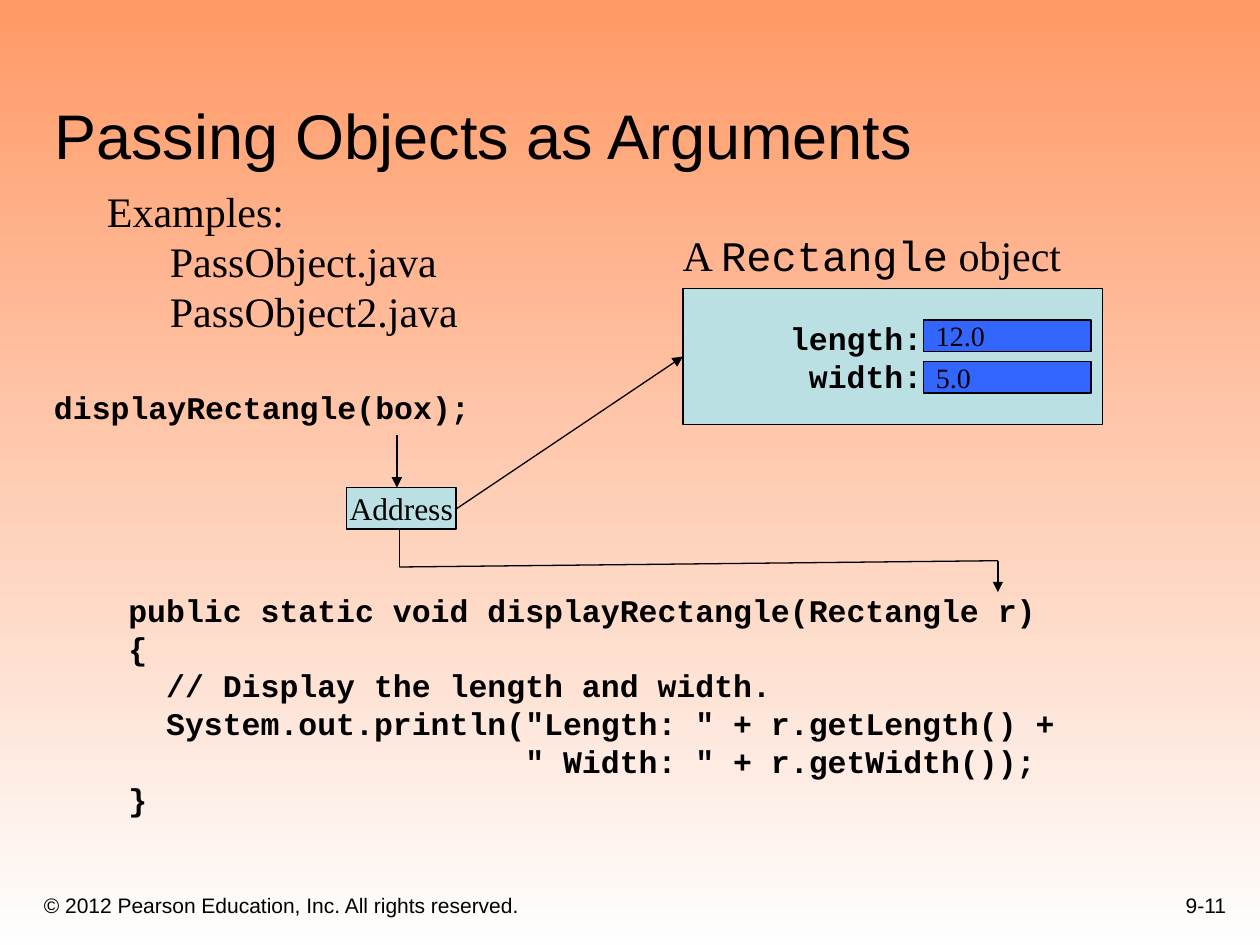
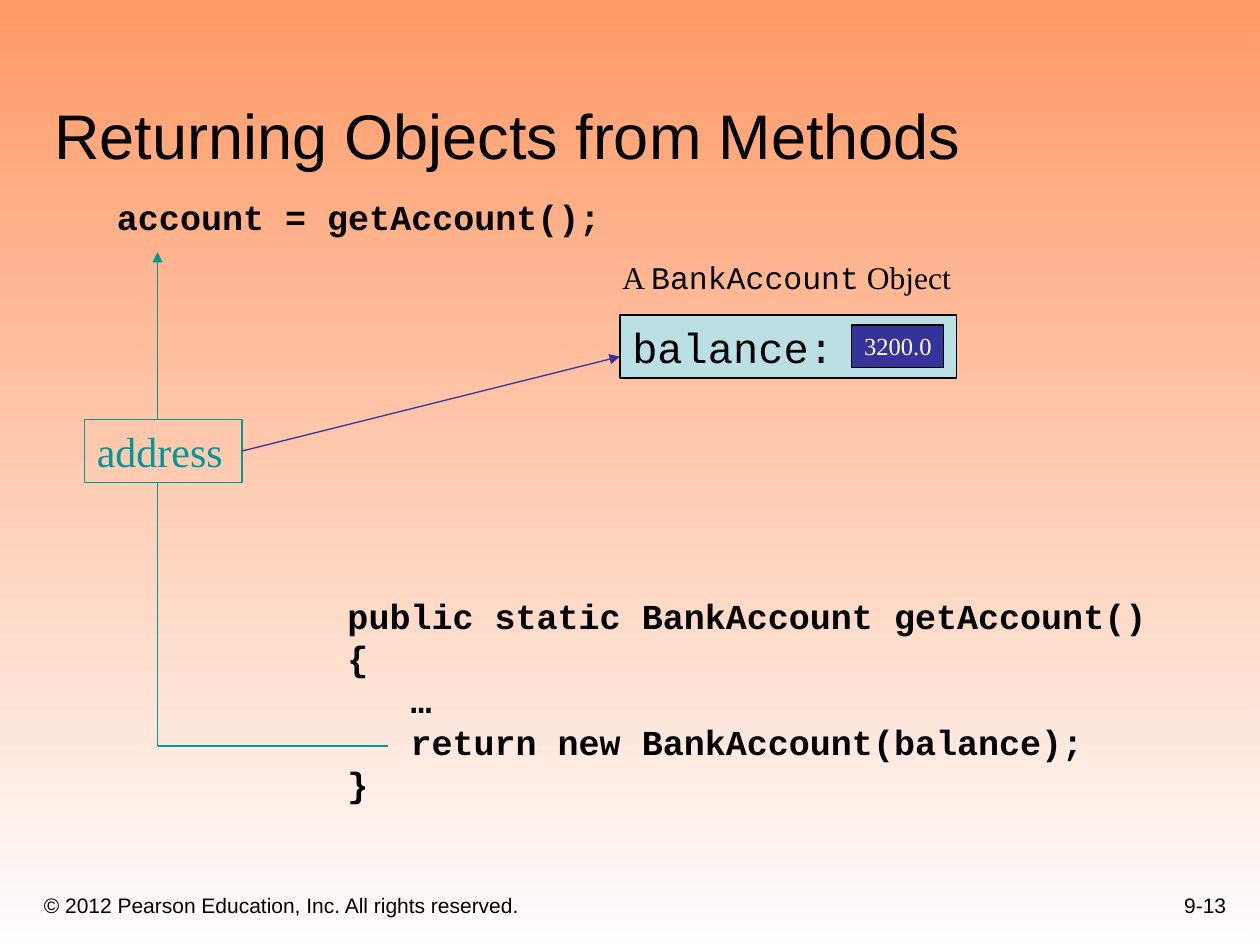
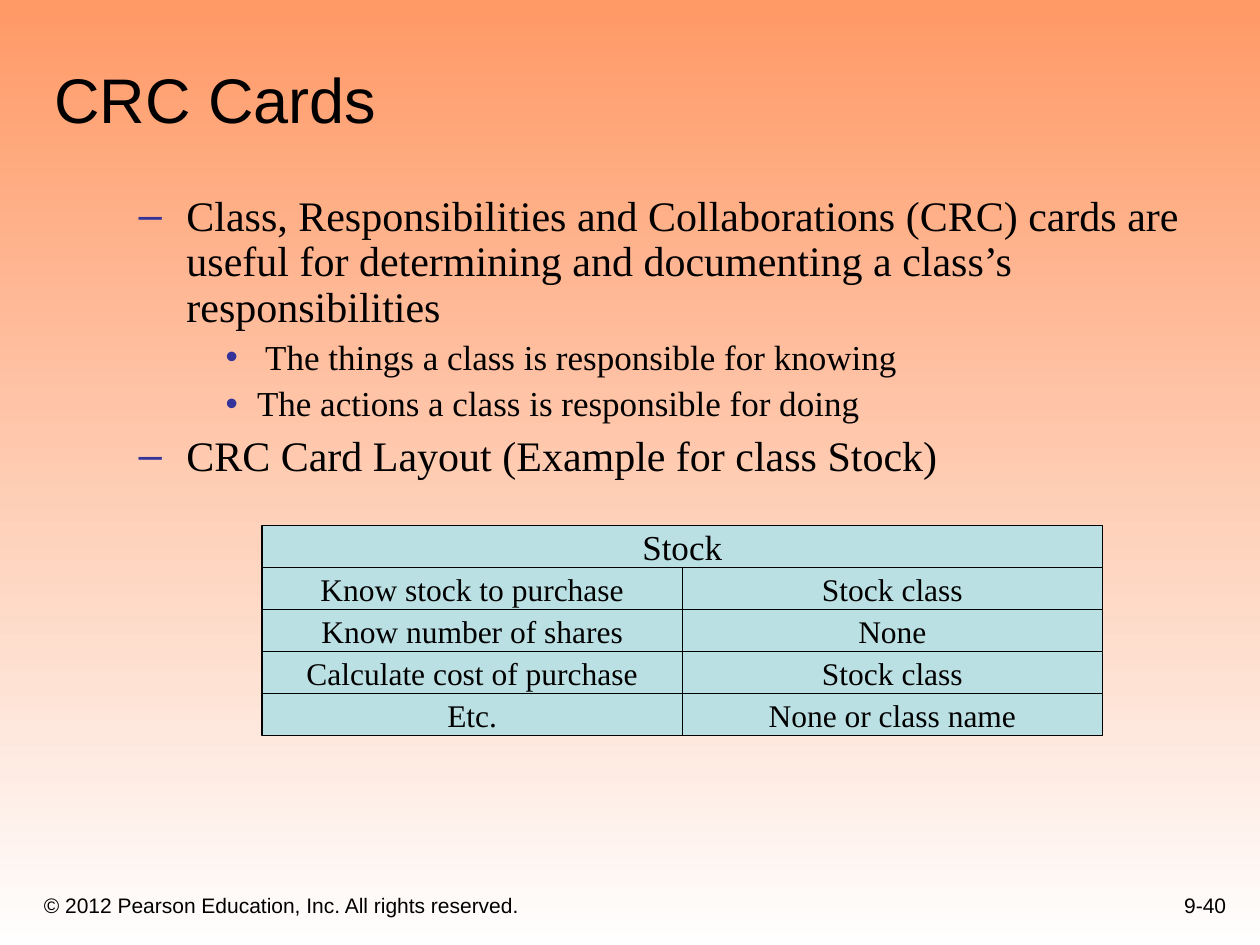
from dataclasses import dataclass
from typing import Optional

from lxml.etree import SubElement
from pptx import Presentation
from pptx.dml.color import RGBColor
from pptx.enum.shapes import MSO_CONNECTOR, MSO_SHAPE
from pptx.enum.text import MSO_ANCHOR, MSO_AUTO_SIZE, PP_ALIGN
from pptx.oxml.ns import qn
from pptx.presentation import Presentation as Deck
from pptx.shapes.base import BaseShape
from pptx.slide import Slide
from pptx.text.text import TextFrame, _Paragraph as Paragraph
from pptx.util import Inches, Pt

COLORS = {
    "black": "000000",
    "white": "FFFFFF",
    "orange": "FF9966",
    "paper": "FEFEFE",
    "pale": "BBE0E3",
    "blue": "3366FF",
    "navy": "333399",
    "teal": "009999",
}
SANS, SERIF, MONO = "Arial", "Times New Roman", "Courier New"
LINE_WIDTH = 0.75
COPYRIGHT = "© 2012 Pearson Education, Inc. All rights reserved."


@dataclass(frozen=True)
class Block:
    """A text box, or an outlined shape when it has a line colour; lengths in inches."""
    left: float
    top: float
    width: float
    height: float
    text: str
    size: int
    font: str = SERIF
    color: str = "black"
    bold: bool = False
    align: PP_ALIGN = PP_ALIGN.LEFT
    anchor: MSO_ANCHOR = MSO_ANCHOR.TOP
    wrap: bool = True
    fill: Optional[str] = None
    line: Optional[str] = None
    shape: MSO_SHAPE = MSO_SHAPE.RECTANGLE
    code_word: str = ""
    hanging: float = 0
    right_inset: float = 0.1


@dataclass(frozen=True)
class Link:
    """A straight line between two points, with or without an arrowhead."""
    start: tuple[float, float]
    end: tuple[float, float]
    color: str = "black"
    arrow: bool = True


@dataclass(frozen=True)
class Bullet:
    """The look of one list level."""
    symbol: str
    level: int
    margin: float
    hanging: float
    size: int
    space: int


DASH = Bullet("–", 1, 0.88, 0.38, 24, 6)
DOT = Bullet("•", 2, 1.44, 0.25, 20, 5)

PASSING_CODE = """public static void displayRectangle(Rectangle r)
{
  // Display the length and width.
  System.out.println("Length: " + r.getLength() +
                     " Width: " + r.getWidth());
}"""
RETURNING_CODE = """public static BankAccount getAccount()
{
   …
   return new BankAccount(balance);
}"""

PASSING_BLOCKS = [
    Block(0.75, 1.42, 2.98, 1.3, "Examples:\vPassObject.java\vPassObject2.java", 24,
          wrap=False, hanging=0.5),
    Block(0.33, 3.03, 3.58, 0.4, "displayRectangle(box);", 18, MONO, bold=True),
    Block(0.92, 4.64, 7.55, 1.9, PASSING_CODE, 18, MONO, bold=True, wrap=False),
    Block(5.32, 1.77, 3.22, 0.5, "A Rectangle object", 24, wrap=False, code_word="Rectangle"),
    Block(5.42, 2.29, 3.33, 1.08, "length:\nwidth:", 18, MONO, bold=True, align=PP_ALIGN.RIGHT,
          anchor=MSO_ANCHOR.MIDDLE, fill="pale", line="black", right_inset=1.43),
    *(Block(7.33, top, 1.33, 0.25, value, 16, anchor=MSO_ANCHOR.MIDDLE, fill="blue", line="black")
      for top, value in ((2.54, "12.0"), (2.87, "5.0"))),
    Block(2.75, 3.87, 0.87, 0.33, "Address", 18, align=PP_ALIGN.CENTER,
          anchor=MSO_ANCHOR.MIDDLE, wrap=False, fill="pale", line="black"),
]
PASSING_LINKS = [
    Link((3.15, 3.45), (3.15, 3.87)),
    Link((7.92, 4.45), (7.92, 4.7)),
    Link((3.17, 4.2), (3.17, 4.5), arrow=False),
    Link((3.17, 4.5), (7.92, 4.45), arrow=False),
    Link((3.62, 4.04), (5.42, 2.83)),
]

RETURNING_BLOCKS = [
    Block(0.83, 1.5, 4.25, 0.44, "account = getAccount();", 20, MONO, bold=True),
    Block(2.66, 4.67, 6.54, 1.77, RETURNING_CODE, 20, MONO, bold=True, wrap=False),
    Block(4.92, 2.5, 2.67, 0.5, "balance:", 24, MONO, fill="pale", line="black"),
    Block(6.76, 2.58, 0.73, 0.34, "3200.0", 14, color="white", wrap=False,
          fill="navy", line="black"),
    Block(0.67, 3.33, 1.25, 0.5, "address", 24, color="teal", line="teal"),
    Block(4.84, 2, 2.82, 0.4, "A BankAccount Object", 18, wrap=False, code_word="BankAccount"),
]
RETURNING_LINKS = [
    Link((1.25, 3.33), (1.25, 2), "teal"),
    Link((3.08, 5.92), (1.25, 5.92), "teal", arrow=False),
    Link((1.25, 5.92), (1.25, 3.83), "teal", arrow=False),
    Link((1.92, 3.58), (4.92, 2.83), "navy"),
]

CARD_POINTS = [
    (DASH, "Class, Responsibilities and Collaborations (CRC) cards are useful for "
           "determining and documenting a class’s responsibilities"),
    (DOT, " The things a class is responsible for knowing"),
    (DOT, "The actions a class is responsible for doing"),
    (DASH, "CRC Card Layout (Example for class Stock)"),
]
CARD_ROWS = [
    ("Stock",),
    ("Know stock to purchase", "Stock class"),
    ("Know number of shares", "None"),
    ("Calculate cost of purchase", "Stock class"),
    ("Etc.", "None or class name"),
]


def rgb(name: str) -> RGBColor:
    """Look up a named colour."""
    return RGBColor.from_string(COLORS[name])


def add_span(para: Paragraph, text: str, *, size: int, font: str = SERIF,
             color: str = "black", bold: bool = False) -> None:
    """Append formatted text to a paragraph, breaking lines at vertical tabs."""
    for index, part in enumerate(text.split("\v")):
        if index:
            para.add_line_break()
        span = para.add_run()
        span.text = part
        span.font.size = Pt(size)
        span.font.name = font
        span.font.bold = bold
        span.font.color.rgb = rgb(color)


def indent(para: Paragraph, margin: float, hanging: float) -> None:
    """Give a paragraph a left margin with a hanging first line."""
    properties = para._p.get_or_add_pPr()
    properties.set("marL", str(Inches(margin)))
    properties.set("indent", str(-Inches(hanging)))


def next_para(frame: TextFrame, index: int) -> Paragraph:
    """Return the first paragraph of a frame, or add another."""
    return frame.add_paragraph() if index else frame.paragraphs[0]


def fill_frame(frame: TextFrame, block: Block) -> None:
    """Write a block's text, one paragraph a line."""
    frame.auto_size = MSO_AUTO_SIZE.NONE
    frame.word_wrap = block.wrap
    frame.vertical_anchor = block.anchor
    frame.margin_right = Inches(block.right_inset)
    for index, line in enumerate(block.text.split("\n")):
        para = next_para(frame, index)
        para.alignment = block.align
        if block.hanging:
            indent(para, block.hanging, block.hanging)
        spans = [(line, block.font)]
        if block.code_word:
            before, word, after = line.partition(block.code_word)
            spans = [(before, block.font), (word, MONO), (after, block.font)]
        for text, font in spans:
            add_span(para, text, size=block.size, font=font, color=block.color, bold=block.bold)


def draw_block(page: Slide, block: Block) -> None:
    """Draw a block as a text box or as an outlined shape."""
    place = [Inches(n) for n in (block.left, block.top, block.width, block.height)]
    if block.line is None:
        box = page.shapes.add_textbox(*place)
    else:
        box = page.shapes.add_shape(block.shape, *place)
        box.shadow.inherit = False
        box.line.color.rgb = rgb(block.line)
        box.line.width = Pt(LINE_WIDTH)
        if block.fill:
            box.fill.solid()
            box.fill.fore_color.rgb = rgb(block.fill)
        else:
            box.fill.background()
    fill_frame(box.text_frame, block)


def draw_link(page: Slide, link: Link) -> None:
    """Draw a line or an arrow."""
    ends = [Inches(n) for n in (*link.start, *link.end)]
    connector = page.shapes.add_connector(MSO_CONNECTOR.STRAIGHT, *ends)
    connector.line.color.rgb = rgb(link.color)
    connector.line.width = Pt(LINE_WIDTH)
    if link.arrow:
        SubElement(connector.line._get_or_add_ln(), qn("a:tailEnd"), type="triangle")
    SubElement(connector._element.spPr, qn("a:effectLst"))


def move(shape: BaseShape, left: float, top: float, width: float, height: float) -> None:
    """Place a shape, in inches."""
    shape.left, shape.top = Inches(left), Inches(top)
    shape.width, shape.height = Inches(width), Inches(height)


def add_page(deck: Deck, layout: int, title: str, number: str, title_height: float = 1.09) -> Slide:
    """Add a slide with its title, copyright line and page number."""
    page = deck.slides.add_slide(deck.slide_layouts[layout])
    heading = Block(0.33, 0.33, 9.42, title_height, title, 36, SANS, anchor=MSO_ANCHOR.BOTTOM)
    move(page.shapes.title, heading.left, heading.top, heading.width, heading.height)
    fill_frame(page.shapes.title.text_frame, heading)
    draw_block(page, Block(0.25, 6.91, 6.08, 0.42, COPYRIGHT, 12, SANS, anchor=MSO_ANCHOR.BOTTOM))
    draw_block(page, Block(7.75, 6.83, 2.08, 0.5, number, 12, SANS,
                           align=PP_ALIGN.RIGHT, anchor=MSO_ANCHOR.BOTTOM))
    return page


def set_background(deck: Deck) -> None:
    """Give the master a gradient that fades downwards."""
    fill = deck.slide_master.background.fill
    fill.gradient()
    fill.gradient_angle = 270
    for stop, name, position in zip(fill.gradient_stops, ("orange", "paper"), (0, 1)):
        stop.color.rgb = rgb(name)
        stop.position = position


def add_points(page: Slide) -> None:
    """Fill the body placeholder with the bulleted points."""
    body = page.placeholders[1]
    move(body, 0.5, 1.5, 9.17, 2.58)
    frame = body.text_frame
    frame.auto_size = MSO_AUTO_SIZE.NONE
    frame.margin_right = 0
    for index, (bullet, text) in enumerate(CARD_POINTS):
        para = next_para(frame, index)
        para.level = bullet.level
        indent(para, bullet.margin, bullet.hanging)
        properties = para._p.get_or_add_pPr()
        tint = SubElement(properties, qn("a:buClr"))
        SubElement(tint, qn("a:srgbClr"), val=COLORS["navy"])
        SubElement(properties, qn("a:buFont"), typeface=SANS)
        SubElement(properties, qn("a:buChar"), char=bullet.symbol)
        para.line_spacing = 0.9
        para.space_before = Pt(bullet.space if index else 0)
        add_span(para, text, size=bullet.size)


def add_card(page: Slide) -> None:
    """Draw the class card: a full-width heading over rows of two process boxes."""
    left, top, card_width, row_height = 2.08, 4.17, 6.67, 1 / 3
    for row, texts in enumerate(CARD_ROWS):
        width = card_width / len(texts)
        for column, text in enumerate(texts):
            draw_block(page, Block(
                left + column * width, top + row * row_height, width, row_height, text,
                18 if row else 20, align=PP_ALIGN.CENTER, anchor=MSO_ANCHOR.MIDDLE, wrap=False,
                fill="pale", line="black", shape=MSO_SHAPE.FLOWCHART_PROCESS))


def main() -> None:
    """Build the deck and save it."""
    deck = Presentation()
    deck.slide_width, deck.slide_height = Inches(10), Inches(7.5)
    set_background(deck)
    for title, number, blocks, links in (
        ("Passing Objects as Arguments", "9-11", PASSING_BLOCKS, PASSING_LINKS),
        ("Returning Objects from Methods", "9-13", RETURNING_BLOCKS, RETURNING_LINKS),
    ):
        page = add_page(deck, 5, title, number)
        for block in blocks:
            draw_block(page, block)
        for link in links:
            draw_link(page, link)
    page = add_page(deck, 1, "CRC Cards", "9-40", title_height=0.8)
    add_points(page)
    add_card(page)
    deck.save("out.pptx")


if __name__ == "__main__":
    main()
